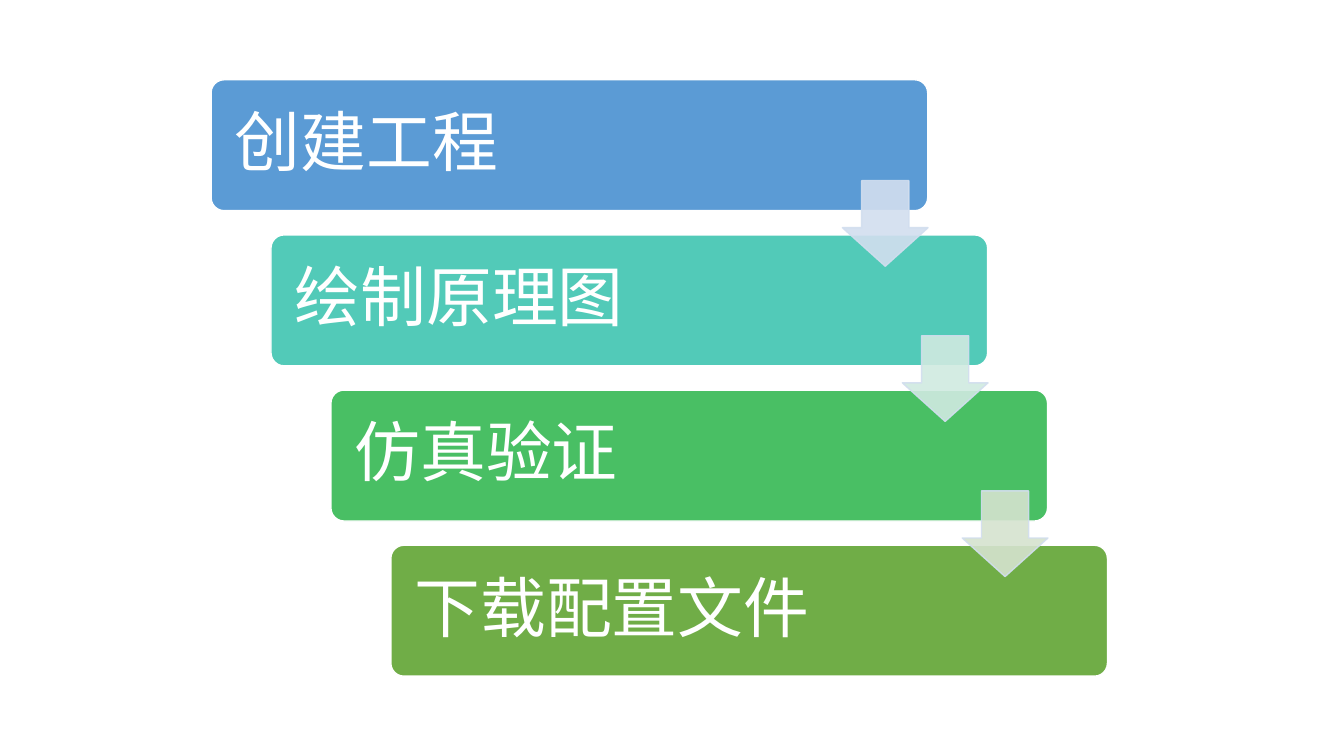
"""Build a slide with four stepped process bars joined by down arrows."""
import pptx
import pptx.dml.color
import pptx.enum.shapes
import pptx.enum.text
import pptx.oxml
import pptx.oxml.ns
import pptx.util

Cm = pptx.util.Cm
Pt = pptx.util.Pt
RGB = pptx.dml.color.RGBColor.from_string
Kind = pptx.enum.shapes.MSO_SHAPE
FONT = "Noto Sans CJK SC"
COLORS = {
    "white": "FFFFFF", "blue": "5B9BD5", "teal": "52CAB8",
    "green": "49BF64", "olive": "70AD47",
    "pale": "D2DEEF", "mint": "D0EAE1", "sage": "D5E3CF",
}


def draw(kind, box, fill, line, adjust, alpha=100):
    """Add a flat shape with its fill, outline and opacity."""
    shape = slide.shapes.add_shape(kind, *[Cm(n) for n in box])
    shape.shadow.inherit = False
    for i, value in enumerate(adjust):
        shape.adjustments[i] = value
    shape.fill.solid()
    shape.fill.fore_color.rgb = RGB(COLORS[fill])
    shape.line.color.rgb = RGB(COLORS[line])
    shape.line.width = Pt(1)
    if alpha < 100:
        for color in shape.element.spPr.iter(pptx.oxml.ns.qn("a:srgbClr")):
            tag = pptx.oxml.ns.qn("a:alpha")
            color.makeelement(tag)
            node = pptx.oxml.parse_xml(
                f'<a:alpha {pptx.oxml.ns.nsdecls("a")} val="{alpha * 1000}"/>')
            color.append(node)
    return shape


def write(shape, text, size=47, color="white", inset=0.5):
    """Put one formatted line of text into a shape."""
    frame = shape.text_frame
    frame.word_wrap = True
    frame.vertical_anchor = pptx.enum.text.MSO_ANCHOR.MIDDLE
    frame.margin_left = frame.margin_right = Cm(inset)
    frame.margin_top = frame.margin_bottom = Cm(inset)
    para = frame.paragraphs[0]
    para.alignment = pptx.enum.text.PP_ALIGN.LEFT
    para.line_spacing = 0.9
    para.space_after = Pt(16)
    run = para.add_run()
    run.text = text
    run.font.size = Pt(size)
    run.font.name = FONT
    run.font.color.rgb = RGB(COLORS[color])
    run.font._element.append(pptx.oxml.parse_xml(
        f'<a:ea {pptx.oxml.ns.nsdecls("a")} typeface="{FONT}"/>'))


deck = pptx.Presentation()
deck.slide_width = Cm(33.87)
deck.slide_height = Cm(19.05)
slide = deck.slides.add_slide(deck.slide_layouts[6])

left, top = 5.32, 2.01
over, down = 1.51, 3.91
wide, high = 18.06, 3.3
side = 2.16

steps = [
    ("创建工程", "blue"),
    ("绘制原理图", "teal"),
    ("仿真验证", "green"),
    ("下载配置文件", "olive"),
]
for i, (text, fill) in enumerate(steps):
    box = (left + i * over, top + i * down, wide, high)
    bar = draw(Kind.ROUNDED_RECTANGLE, box, fill, "white", [0.1])
    write(bar, text)

for i, fill in enumerate(["pale", "mint", "sage"]):
    box = (left + 15.91 + i * over, top + 2.54 + i * down, side, side)
    draw(Kind.DOWN_ARROW, box, fill, "pale", [0.55, 0.45], alpha=90)

deck.save("out.pptx")
